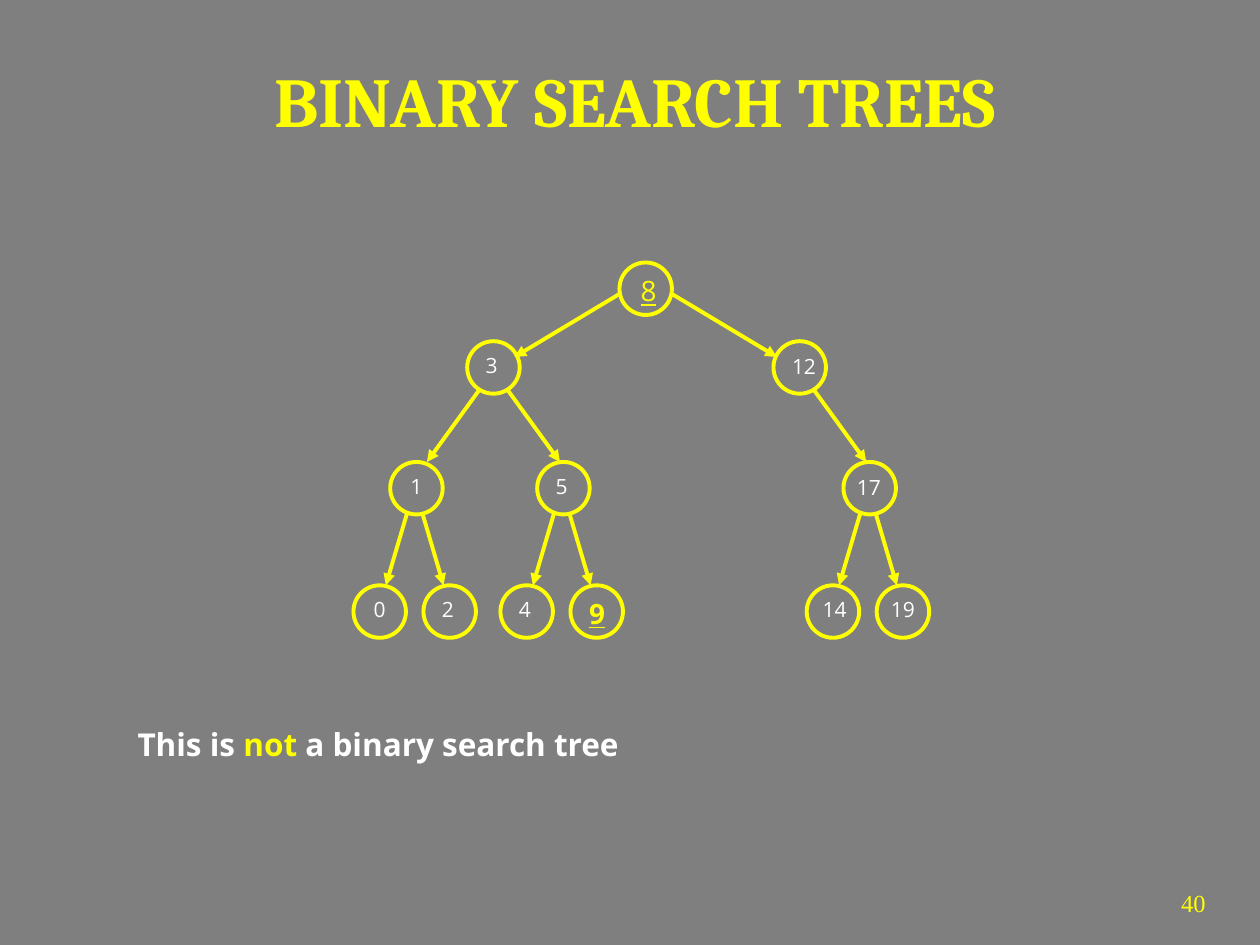
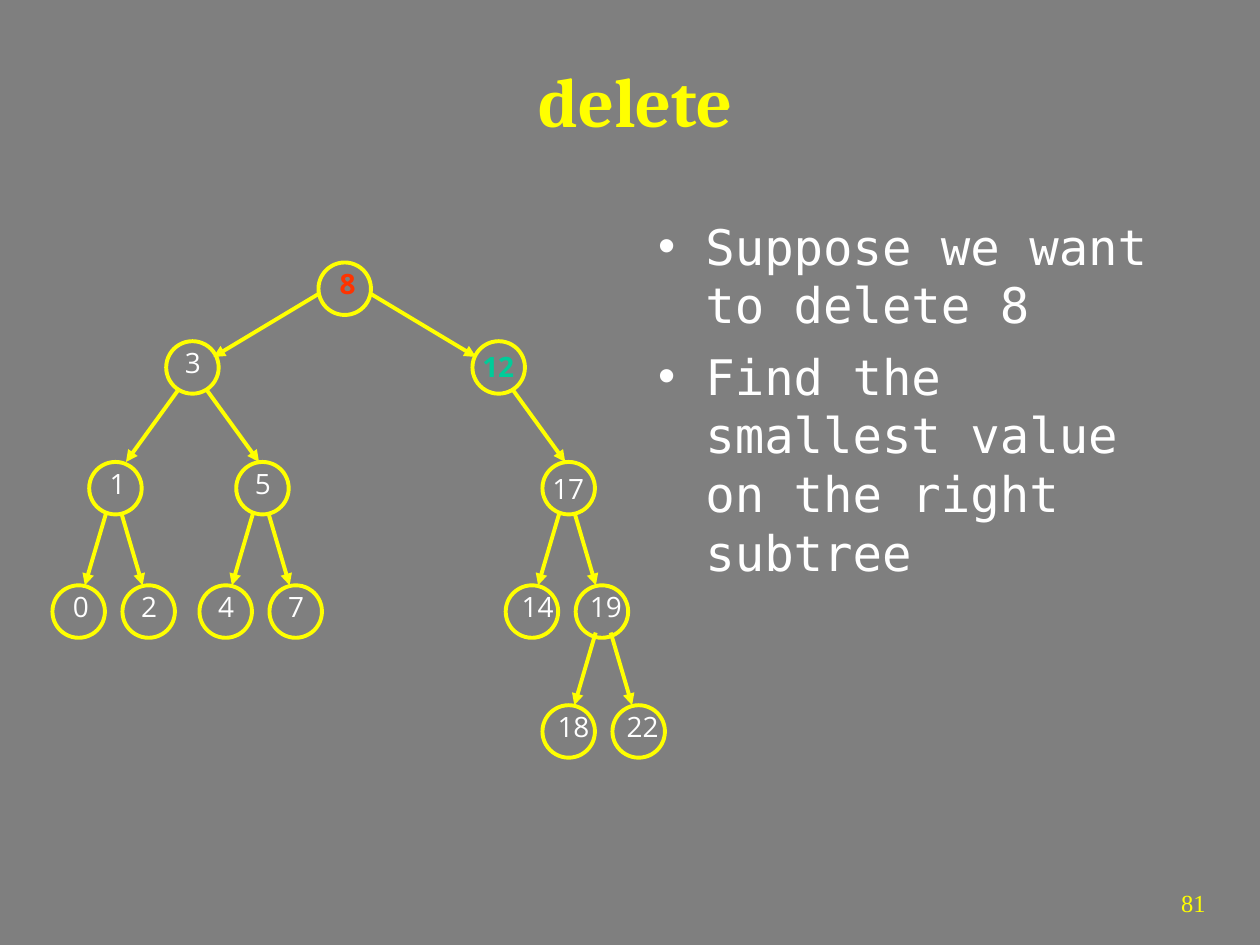
from dataclasses import dataclass, field

from pptx import Presentation
from pptx.dml.color import RGBColor
from pptx.enum import shapes as kinds, text as txt
from pptx.oxml.ns import qn
from pptx.util import Pt
from lxml import etree

COLORS = {
    "background": "7F7F7F",
    "accent": "FFFF00",
    "body": "FFFFFF",
    "deleted": "FF3300",
    "successor": "00CC99",
}

# Shared text formats
TITLE = {"name": "Cambria", "size": Pt(40), "bold": True, "color": "accent"}
PAGE_NUMBER = {"name": "Times New Roman", "size": Pt(14), "color": "accent"}
BULLET = {"name": "DejaVu Sans Mono", "size": Pt(28), "color": "body"}
REMARK = {"name": "Open Sans", "size": Pt(18), "bold": True, "color": "body"}
KEY = {"name": "Open Sans", "color": "body"}

# Shared tree geometry, in points
DIAMETER = 30
LINE_WIDTH = 2.25
LEVEL_TOPS = (150, 195, 264, 334.5, 403)
DIGIT_WIDTH = 0.58  # share of the text size
KEY_MARGINS = 14.4


@dataclass(frozen=True)
class Branch:
    """Arrow ends measured from the parent's centre line and top."""
    start_x: float
    start_y: float
    end_x: float
    end_y: float
    shift: float = 0


# One branch shape for each level of the parent
BRANCHES = (
    Branch(15, 18, 75, 54),
    Branch(7.5, 27, 38, 69),
    Branch(4.3, 29, 16.5, 70.5, shift=-1),
    Branch(4.3, 27, 16.5, 68.5, shift=0.7),
)


@dataclass(frozen=True)
class Node:
    key: str
    level: int
    offset: float  # from the root
    parent: str = ""
    nudge: float = 4  # of the key inside its circle


@dataclass(frozen=True)
class Tree:
    root_left: float
    key_size: float
    key_drop: float
    nodes: list[Node]
    formats: dict[str, dict] = field(default_factory=dict)
    nudges: dict[str, tuple[float, float]] = field(default_factory=dict)


def search_tree_nodes(right_leaf_of_5: str) -> list[Node]:
    return [
        Node("8", 0, 0, nudge=5),
        Node("3", 1, -87, "8", nudge=3.5),
        Node("12", 1, 88, "8"),
        Node("1", 2, -131, "3", nudge=4.5),
        Node("5", 2, -47, "3", nudge=3.5),
        Node("17", 2, 128, "12"),
        Node("0", 3, -152, "1", nudge=4.5),
        Node("2", 3, -112, "1", nudge=3.5),
        Node("4", 3, -68, "5", nudge=3.5),
        Node(right_leaf_of_5, 3, -28, "5", nudge=3.5),
        Node("14", 3, 107, "17", nudge=2),
        Node("19", 3, 147, "17", nudge=1),
    ]


def rgb(name: str) -> RGBColor:
    return RGBColor.from_string(COLORS[name])


def apply_format(font, values: dict) -> None:
    for attribute, value in values.items():
        if attribute == "color":
            font.color.rgb = rgb(value)
        else:
            setattr(font, attribute, value)


def add_text(slide, left: float, top: float, width: float, height: float,
             runs: list[tuple[str, dict]], align=txt.PP_ALIGN.LEFT,
             anchor=txt.MSO_ANCHOR.TOP, wrap: bool = True):
    frame = slide.shapes.add_textbox(Pt(left), Pt(top), Pt(width), Pt(height)).text_frame
    frame.word_wrap = wrap
    if not wrap:
        frame.auto_size = txt.MSO_AUTO_SIZE.SHAPE_TO_FIT_TEXT
    frame.vertical_anchor = anchor
    paragraph = frame.paragraphs[0]
    paragraph.alignment = align
    for words, values in runs:
        run = paragraph.add_run()
        run.text = words
        apply_format(run.font, values)
    return frame


def add_slide(deck, title: str, number: str):
    slide = deck.slides.add_slide(deck.slide_layouts[6])
    slide.background.fill.solid()
    slide.background.fill.fore_color.rgb = rgb("background")
    add_text(slide, 624, 504, 72, 36, [(number, PAGE_NUMBER)], align=txt.PP_ALIGN.RIGHT)
    add_text(slide, 30, 18, 666, 78, [(title, TITLE)],
             align=txt.PP_ALIGN.CENTER, anchor=txt.MSO_ANCHOR.MIDDLE)
    return slide


def add_bullets(slide, left: float, top: float, width: float, height: float,
                points: list[str]) -> None:
    frame = add_text(slide, left, top, width, height, [])
    for index, point in enumerate(points):
        paragraph = frame.add_paragraph() if index else frame.paragraphs[0]
        properties = paragraph._p.get_or_add_pPr()
        properties.set("marL", str(Pt(27)))
        properties.set("indent", str(-Pt(27)))
        if index:
            paragraph.space_before = Pt(7)
        etree.SubElement(properties, qn("a:buFont"), typeface="Arial")
        etree.SubElement(properties, qn("a:buChar"), char="•")
        run = paragraph.add_run()
        run.text = point
        apply_format(run.font, BULLET)


def outline(line) -> None:
    line.color.rgb = rgb("accent")
    line.width = Pt(LINE_WIDTH)


def add_arrow(slide, x1: float, y1: float, x2: float, y2: float) -> None:
    arrow = slide.shapes.add_connector(
        kinds.MSO_CONNECTOR.STRAIGHT, Pt(x1), Pt(y1), Pt(x2), Pt(y2))
    outline(arrow.line)
    etree.SubElement(arrow.get_or_add_ln(), qn("a:tailEnd"), type="triangle")
    etree.SubElement(arrow._element.spPr, qn("a:effectLst"))


def draw_tree(slide, tree: Tree) -> None:
    by_key = {node.key: node for node in tree.nodes}

    # Circles and the arrows that lead to them
    for node in tree.nodes:
        circle = slide.shapes.add_shape(
            kinds.MSO_SHAPE.OVAL, Pt(tree.root_left + node.offset),
            Pt(LEVEL_TOPS[node.level]), Pt(DIAMETER), Pt(DIAMETER))
        circle.shadow.inherit = False
        circle.fill.background()
        outline(circle.line)
        if node.parent:
            parent = by_key[node.parent]
            branch = BRANCHES[parent.level]
            side = 1 if node.offset > parent.offset else -1
            middle = tree.root_left + parent.offset + DIAMETER / 2 + branch.shift
            top = LEVEL_TOPS[parent.level]
            add_arrow(slide, middle + side * branch.start_x, top + branch.start_y,
                      middle + side * branch.end_x, top + branch.end_y)

    # Keys
    for node in tree.nodes:
        values = {**KEY, "size": Pt(tree.key_size), **tree.formats.get(node.key, {})}
        size = values["size"].pt
        right, down = tree.nudges.get(node.key, (node.nudge, tree.key_drop))
        add_text(slide, tree.root_left + node.offset + right,
                 LEVEL_TOPS[node.level] + down,
                 KEY_MARGINS + DIGIT_WIDTH * size * len(node.key), 7.2 + 1.2 * size,
                 [(node.key, values)], wrap=False)


def add_counterexample(deck) -> None:
    slide = add_slide(deck, "BINARY SEARCH TREES", "40")
    wrong = {"size": Pt(16), "color": "accent", "underline": True}
    draw_tree(slide, Tree(
        root_left=354, key_size=12, key_drop=3,
        nodes=search_tree_nodes("9"),
        formats={"8": wrong, "9": {**wrong, "bold": True}},
        nudges={"12": (3.5, 3.5), "17": (0.5, 3.5)}))
    add_text(slide, 71.5, 410.5, 290, 29, [
        ("This is ", REMARK),
        ("not", {**REMARK, "color": "accent"}),
        (" a binary search tree", REMARK),
    ], wrap=False)


def add_deletion(deck) -> None:
    slide = add_slide(deck, "delete", "81")
    add_bullets(slide, 369, 120, 327, 396, [
        "Suppose we want to delete 8",
        "Find the smallest value on the right subtree",
    ])
    draw_tree(slide, Tree(
        root_left=182, key_size=16, key_drop=-1,
        nodes=search_tree_nodes("7") + [
            Node("18", 4, 128, "19", nudge=1.5),
            Node("22", 4, 168, "19", nudge=1),
        ],
        formats={"8": {"color": "deleted", "bold": True},
                 "12": {"color": "successor", "bold": True}},
        nudges={"12": (-1.5, 1), "17": (-1.5, 2)}))


def main() -> None:
    deck = Presentation()
    deck.slide_width, deck.slide_height = Pt(720), Pt(540)
    add_counterexample(deck)
    add_deletion(deck)
    deck.save("out.pptx")


if __name__ == "__main__":
    main()
